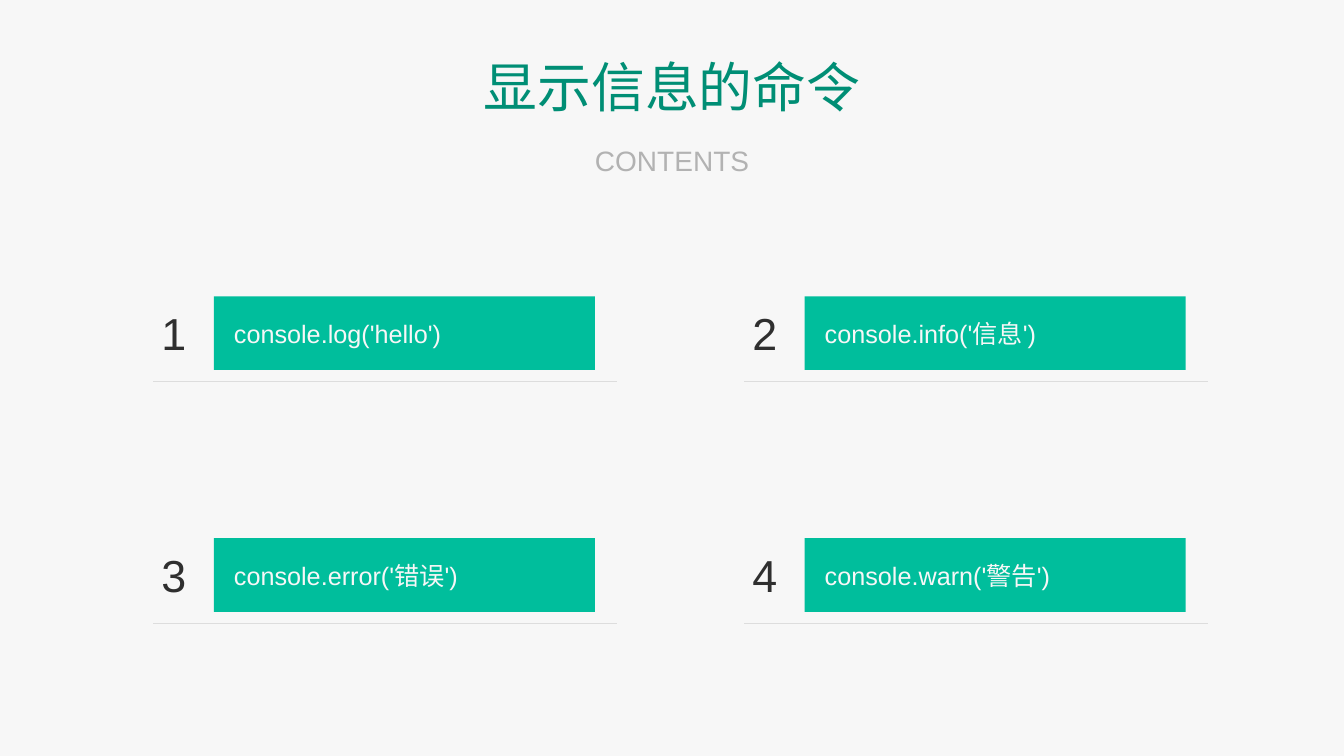
from lxml import etree
from pptx import Presentation
from pptx.dml.color import RGBColor
from pptx.enum.shapes import MSO_CONNECTOR, MSO_SHAPE
from pptx.enum.text import MSO_ANCHOR, PP_ALIGN
from pptx.oxml.ns import qn
from pptx.util import Inches, Pt

HEADINGS = [
    ("CONTENTS", 1.33, 0.52, 20, "B2B2B2"),
    ("显示信息的命令", 0.27, 1.16, 38.4, "008E75"),
]
COMMANDS = [
    "console.log('hello')",
    "console.info('信息')",
    "console.error('错误')",
    "console.warn('警告')",
]
COLUMNS = 2
LEFT, TOP = 1.36, 2.91
COLUMN_STEP, ROW_STEP = 5.86, 2.4
PAPER, GREEN, DARK, RULE = "F7F7F7", "00BE9C", "2F2F2F", "DDDDDD"


def color(target, value):
    target.rgb = RGBColor.from_string(value)


def box(x, y, w, h):
    return [Inches(v) for v in (x, y, w, h)]


def write(shape, text, size, value, align=PP_ALIGN.CENTER, inset=0, spacing=None):
    tf = shape.text_frame
    tf.word_wrap = True
    tf.vertical_anchor = MSO_ANCHOR.MIDDLE
    tf.margin_left = Inches(inset)
    tf.margin_right = tf.margin_top = tf.margin_bottom = 0
    p = tf.paragraphs[0]
    p.alignment = align
    p.line_spacing = spacing
    r = p.add_run()
    r.text = text
    r.font.size = Pt(size)
    r.font.name = "Arial"
    color(r.font.color, value)


def add_command(s, number, command, x, y):
    shapes = s.shapes.add_group_shape().shapes
    label = shapes.add_textbox(*box(x, y, 0.73, 0.84))
    write(label, str(number), 32, DARK, spacing=0.9)

    bar = shapes.add_shape(MSO_SHAPE.RECTANGLE, *box(x + 0.76, y + 0.03, 3.78, 0.73))
    bar.shadow.inherit = False
    bar.fill.solid()
    color(bar.fill.fore_color, GREEN)
    bar.line.fill.background()
    write(bar, command, 18, PAPER, PP_ALIGN.LEFT, 0.2)

    rule_y = y + 0.87
    rule = shapes.add_connector(
        MSO_CONNECTOR.STRAIGHT, *box(x + 0.16, rule_y, x + 4.76, rule_y))
    rule.line.width = Pt(0.25)
    color(rule.line.color, RULE)
    etree.SubElement(rule._element.spPr, qn("a:effectLst"))


def main():
    prs = Presentation()
    prs.slide_width, prs.slide_height = Inches(13.33), Inches(7.5)
    s = prs.slides.add_slide(prs.slide_layouts[6])
    s.background.fill.solid()
    color(s.background.fill.fore_color, PAPER)

    for i, command in enumerate(COMMANDS):
        row, column = divmod(i, COLUMNS)
        add_command(s, i + 1, command, LEFT + column * COLUMN_STEP, TOP + row * ROW_STEP)

    for text, top, height, size, value in HEADINGS:
        heading = s.shapes.add_textbox(*box(4.77, top, 3.79, height))
        write(heading, text, size, value)

    prs.save("out.pptx")


if __name__ == "__main__":
    main()
